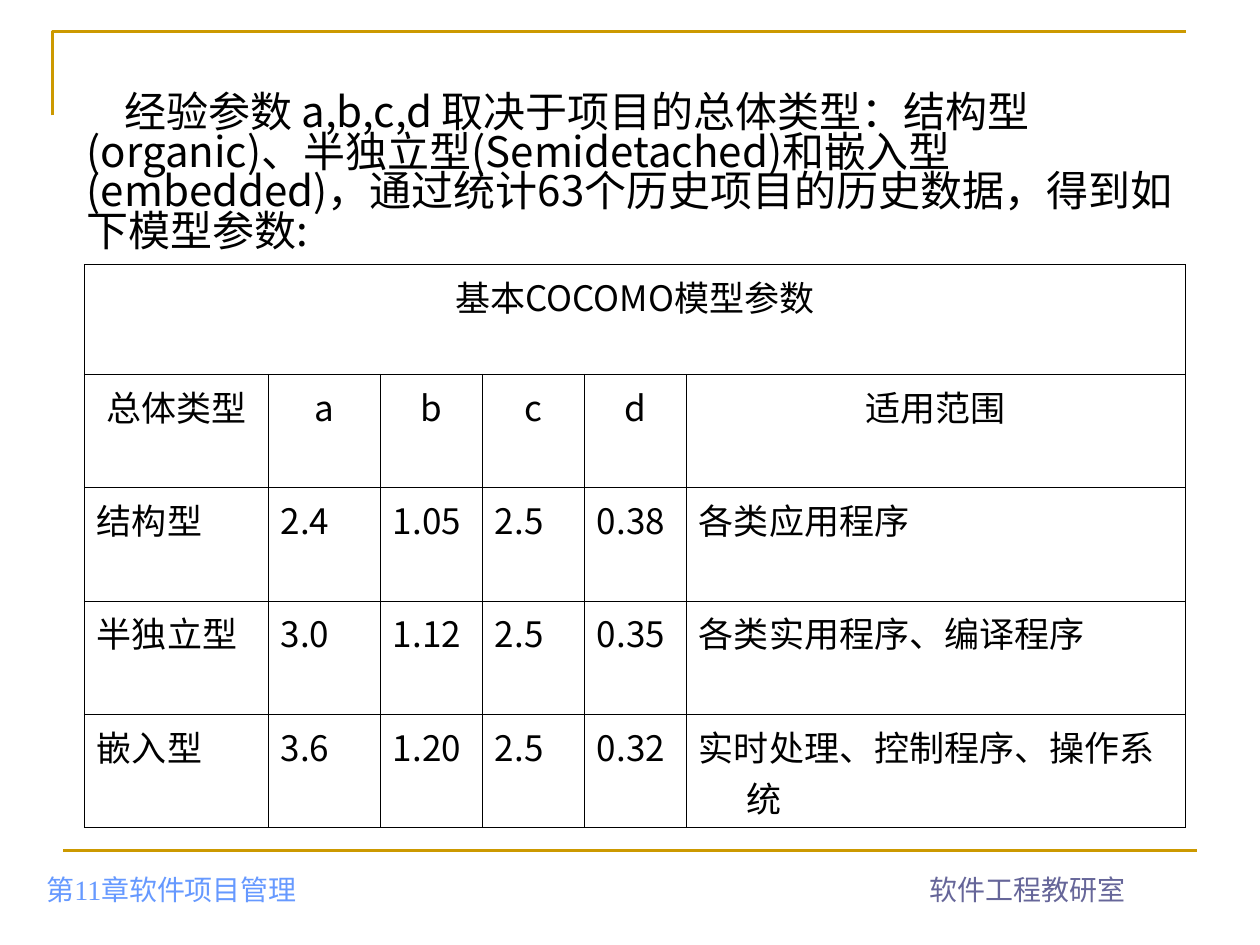
from dataclasses import dataclass

from lxml.etree import SubElement
from pptx import Presentation
from pptx.dml.color import RGBColor
from pptx.enum.shapes import MSO_CONNECTOR
from pptx.enum.text import MSO_ANCHOR, PP_ALIGN
from pptx.oxml.ns import qn
from pptx.util import Pt


@dataclass(frozen=True)
class Theme:
    gold: RGBColor = RGBColor(0xCC, 0x99, 0x00)
    black: RGBColor = RGBColor(0, 0, 0)
    blue: RGBColor = RGBColor(0x66, 0x99, 0xFF)
    violet: RGBColor = RGBColor(0x66, 0x66, 0x99)
    sans: str = "Noto Sans CJK SC"
    serif: str = "Times New Roman"
    intro: float = 24
    cell: float = 20
    footer: float = 16
    rule: float = 1.5
    grid: float = 0.45


THEME = Theme()
INTRO = ("经验参数 a,b,c,d 取决于项目的总体类型：结构型(organic)、"
         "半独立型(Semidetached)和嵌入型(embedded)，"
         "通过统计63个历史项目的历史数据，得到如下模型参数:")
TABLE_TITLE = "基本COCOMO模型参数"
ROWS = [
    ["总体类型", "a", "b", "c", "d", "适用范围"],
    ["结构型", "2.4", "1.05", "2.5", "0.38", "各类应用程序"],
    ["半独立型", "3.0", "1.12", "2.5", "0.35", "各类实用程序、编译程序"],
    ["嵌入型", "3.6", "1.20", "2.5", "0.32", "实时处理、控制程序、操作系统"],
]
COLUMN_WIDTHS = [105.1, 64.1, 58.3, 58.3, 58.3, 285.2]
ROW_HEIGHTS = [62.6, 64.8, 64.8, 64.8, 64.8]


def style_paragraph(para, size, color, latin, align=PP_ALIGN.LEFT):
    para.alignment = align
    for span in para.runs:
        span.font.size = Pt(size)
        span.font.color.rgb = color
        span.font.name = latin
        SubElement(span.font._element, qn("a:ea"), typeface=THEME.sans)


def set_indent(para, margin, first_line):
    properties = para._p.get_or_add_pPr()
    properties.set("marL", str(Pt(margin)))
    properties.set("indent", str(Pt(first_line)))


def add_text(page, box, text, anchor, size, color, latin, align=PP_ALIGN.LEFT):
    frame = page.shapes.add_textbox(*map(Pt, box)).text_frame
    frame.word_wrap = True
    frame.vertical_anchor = anchor
    frame.text = text
    para = frame.paragraphs[0]
    style_paragraph(para, size, color, latin, align)
    return para


def add_corner(page, box):
    left, top, width, height = box
    builder = page.shapes.build_freeform(Pt(left), Pt(top + height))
    builder.add_line_segments(
        [(Pt(left), Pt(top)), (Pt(left + width), Pt(top))], close=False)
    corner = builder.convert_to_shape()
    corner.shadow.inherit = False
    corner.fill.background()
    corner.line.color.rgb = THEME.gold
    corner.line.width = Pt(THEME.rule)


def add_footer(page, box):
    left, top, width, height = box
    rule = page.shapes.add_connector(
        MSO_CONNECTOR.STRAIGHT, Pt(left + 16.5), Pt(top + 0.7),
        Pt(left + width), Pt(top + 0.7))
    rule.line.color.rgb = THEME.gold
    rule.line.width = Pt(THEME.rule)
    SubElement(rule._element.spPr, qn("a:effectLst"))
    add_text(page, (left, top, 283.7, height), "第11章软件项目管理",
             MSO_ANCHOR.BOTTOM, THEME.footer, THEME.blue, THEME.serif)
    add_text(page, (left + 453.6, top, 228.2, height), "软件工程教研室",
             MSO_ANCHOR.BOTTOM, THEME.footer, THEME.violet, THEME.serif,
             PP_ALIGN.CENTER)


def add_intro(page, box):
    para = add_text(page, box, INTRO, MSO_ANCHOR.MIDDLE,
                    THEME.intro, THEME.black, THEME.sans)
    para.line_spacing = 0.79
    set_indent(para, 0, 21.5)


def set_borders(cell):
    properties = cell._tc.get_or_add_tcPr()
    for position, side in enumerate(("a:lnL", "a:lnR", "a:lnT", "a:lnB")):
        line = properties.makeelement(qn(side), {"w": str(Pt(THEME.grid))})
        properties.insert(position, line)
        fill = SubElement(line, qn("a:solidFill"))
        SubElement(fill, qn("a:srgbClr"), val=str(THEME.black))


def fill_cell(cell, text, align):
    cell.text = text
    cell.margin_left = cell.margin_right = Pt(7.2)
    cell.margin_top = cell.margin_bottom = Pt(3.6)
    para = cell.text_frame.paragraphs[0]
    style_paragraph(para, THEME.cell, THEME.black, THEME.sans, align)
    set_indent(para, 27, -27)


def add_parameter_table(page, box):
    table = page.shapes.add_table(
        len(ROW_HEIGHTS), len(COLUMN_WIDTHS), *map(Pt, box)).table
    table.first_row = table.horz_banding = False
    for column, width in zip(table.columns, COLUMN_WIDTHS):
        column.width = Pt(width)
    for row, height in zip(table.rows, ROW_HEIGHTS):
        row.height = Pt(height)
    for cell in table.iter_cells():
        cell.fill.background()
        set_borders(cell)
    title = table.cell(0, 0)
    title.merge(table.cell(0, len(COLUMN_WIDTHS) - 1))
    fill_cell(title, TABLE_TITLE, PP_ALIGN.CENTER)
    for row, values in enumerate(ROWS, start=1):
        align = PP_ALIGN.CENTER if row == 1 else PP_ALIGN.LEFT
        for column, value in enumerate(values):
            fill_cell(table.cell(row, column), value, align)


def main():
    deck = Presentation()
    deck.slide_width, deck.slide_height = Pt(720), Pt(540)
    page = deck.slides.add_slide(deck.slide_layouts[6])
    add_corner(page, (30, 18, 648, 48))
    add_footer(page, (19.5, 485.3, 664.5, 36))
    add_intro(page, (42.5, 54.7, 640.8, 90.7))
    add_parameter_table(page, (48.2, 151.2, sum(COLUMN_WIDTHS), sum(ROW_HEIGHTS)))
    deck.save("out.pptx")


if __name__ == "__main__":
    main()
